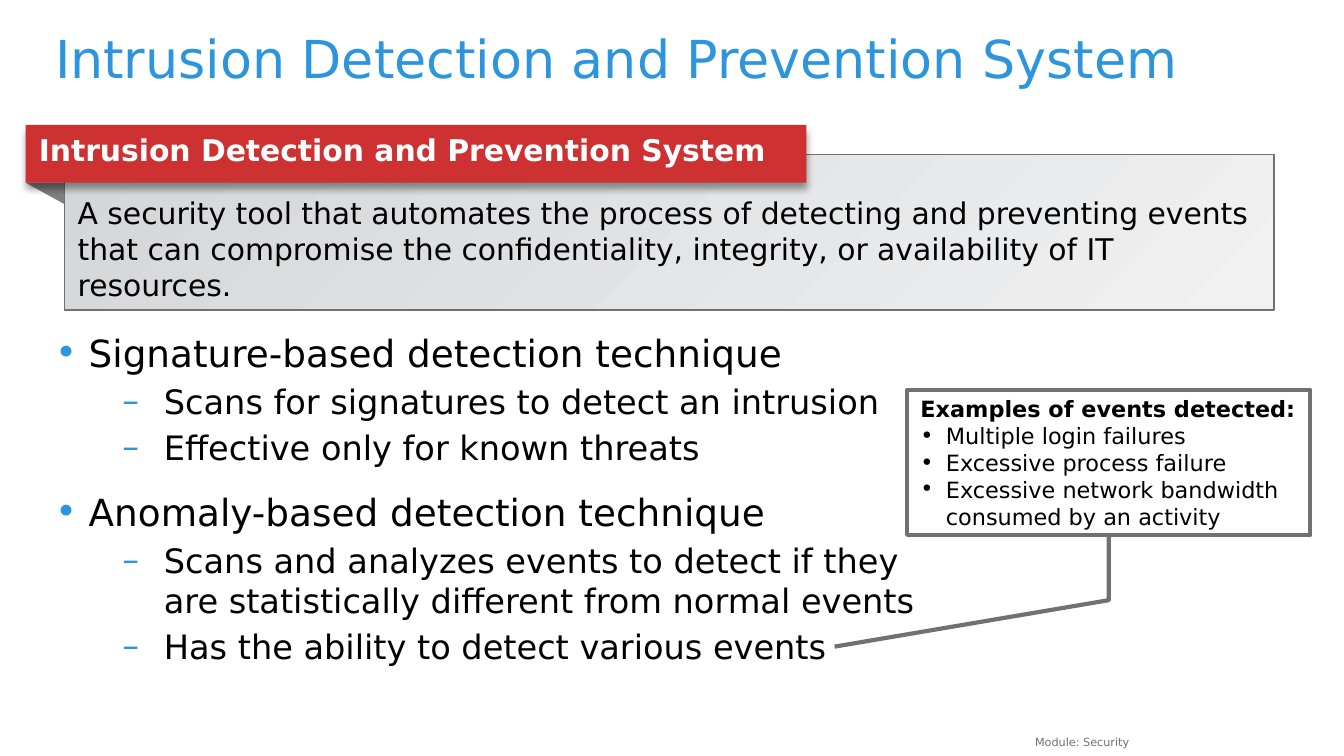
from lxml import etree
from pptx import Presentation
from pptx.dml.color import RGBColor
from pptx.enum.shapes import MSO_SHAPE
from pptx.enum.text import MSO_ANCHOR, MSO_AUTO_SIZE, PP_ALIGN
from pptx.oxml import parse_xml
from pptx.oxml.ns import nsdecls, qn
from pptx.util import Inches, Pt

RECTANGLE, CALLOUT = MSO_SHAPE.RECTANGLE, MSO_SHAPE.LINE_CALLOUT_2
TOP, MIDDLE = MSO_ANCHOR.TOP, MSO_ANCHOR.MIDDLE
LEFT, RIGHT = PP_ALIGN.LEFT, PP_ALIGN.RIGHT
NO_FIT = MSO_AUTO_SIZE.NONE

BLUE = RGBColor(0x2C, 0x95, 0xDD)
RED = RGBColor(0xCE, 0x31, 0x31)
GRAY = RGBColor(0x71, 0x70, 0x74)
FOLD_GRAY = RGBColor(0x80, 0x80, 0x80)
PANEL_DARK = RGBColor(0xD4, 0xD6, 0xD8)
PANEL_LIGHT = RGBColor(0xF1, 0xF1, 0xF2)
BLACK = RGBColor(0, 0, 0)
WHITE = RGBColor(0xFF, 0xFF, 0xFF)
FONT = "DejaVu Sans"

TITLE = "Intrusion Detection and Prevention System"
DEFINITION = (
    "A security tool that automates the process of detecting and preventing events "
    "that can compromise the confidentiality, integrity, or availability of IT resources."
)
TECHNIQUES = [
    ("Signature-based detection technique", [
        "Scans for signatures to detect an intrusion",
        "Effective only for known threats",
    ]),
    ("Anomaly-based detection technique", [
        "Scans and analyzes events to detect if they are statistically different from normal events",
        "Has the ability to detect various events",
    ]),
]
EXAMPLES_HEADING = "Examples of events detected:"
EXAMPLES = [
    "Multiple login failures",
    "Excessive process failure",
    "Excessive network bandwidth consumed by an activity",
]
FOOTER = "Module: Security"

WIDTH = 10
HEIGHT = WIDTH * 9 / 16
MARGIN = 0.41
BANNER = (0.19, 0.93, 5.81, 0.43)
PANEL = (0.48, 1.15, 9, 1.16)
LEADER = (1, 0.5, 1.45, 0.5, 1.77, -0.18)
FOLD_DEPTH = 0.16


def area(values):
    return [Inches(value) for value in values]


def set_frame(box, insets=(0.1, 0.05, 0.1, 0.05), anchor=TOP):
    frame = box.text_frame
    frame.word_wrap = True
    frame.auto_size = NO_FIT
    frame.vertical_anchor = anchor
    frame.margin_left, frame.margin_top, frame.margin_right, frame.margin_bottom = area(insets)
    return frame


def write(frame, text, size, color=BLACK, bold=False, align=LEFT, before=0,
          bullet=None, indent=(0, 0), bullet_color=BLACK, level=0):
    first = frame.paragraphs[0]
    para = frame.add_paragraph() if first.runs else first
    para.add_run().text = text
    para.level = level
    para.alignment = align
    para.space_before = Pt(before)
    if bullet:
        properties = para._p.get_or_add_pPr()
        properties.set("marL", str(Inches(indent[0])))
        properties.set("indent", str(Inches(-indent[1])))
        tint = etree.SubElement(properties, qn("a:buClr"))
        etree.SubElement(tint, qn("a:srgbClr")).set("val", str(bullet_color))
        etree.SubElement(properties, qn("a:buFont")).set("typeface", FONT)
        etree.SubElement(properties, qn("a:buChar")).set("char", bullet)
    font = para.font
    font.name, font.size, font.bold = FONT, Pt(size), bold
    font.color.rgb = color
    return para


def add_box(slide, kind, place, line=None, line_width=1):
    box = slide.shapes.add_shape(kind, *area(place))
    box.shadow.inherit = False
    if line:
        box.line.color.rgb = line
        box.line.width = Pt(line_width)
    else:
        box.line.fill.background()
    return box


def add_title(slide):
    title = slide.shapes.title
    title.left, title.top, title.width, title.height = area((MARGIN, 0.25, 9.25, 0.5))
    para = write(set_frame(title, (0, 0, 0, 0)), TITLE, 28, BLUE)
    para.line_spacing = 0.9


def add_techniques(slide):
    box = slide.shapes.add_textbox(*area((MARGIN, 2.46, 6.59, 2.44)))
    frame = set_frame(box, (0, 0, 0, 0))
    for number, (technique, points) in enumerate(TECHNIQUES):
        write(frame, technique, 20, before=12 if number else 0,
              bullet="•", indent=(0.25, 0.25), bullet_color=BLUE)
        for point in points:
            write(frame, point, 18, before=3, bullet="–",
                  indent=(0.81, 0.31), bullet_color=BLUE, level=1)


def add_definition(slide):
    fold_left, fold_top = BANNER[0], BANNER[1] + BANNER[3]
    corners = [(PANEL[0], fold_top), (PANEL[0], fold_top + FOLD_DEPTH)]
    builder = slide.shapes.build_freeform(Inches(fold_left), Inches(fold_top))
    builder.add_line_segments([area(corner) for corner in corners])
    fold = builder.convert_to_shape()
    fold.shadow.inherit = False
    fold.fill.solid()
    fold.fill.fore_color.rgb = FOLD_GRAY
    fold.line.fill.background()

    panel = add_box(slide, RECTANGLE, PANEL, GRAY)
    panel.fill.gradient()
    panel.fill.gradient_angle = 315
    for stop, color in zip(panel.fill.gradient_stops, (PANEL_DARK, PANEL_LIGHT)):
        stop.color.rgb = color
    write(set_frame(panel, (0.1, 0.3, 0.1, 0.05)), DEFINITION, 16)

    banner = add_box(slide, RECTANGLE, BANNER)
    banner.fill.solid()
    banner.fill.fore_color.rgb = RED
    effects = banner._element.spPr.find(qn("a:effectLst"))
    effects.append(parse_xml(
        f'<a:outerShdw {nsdecls("a")} blurRad="{Pt(4)}" dist="{Pt(3)}" dir="5400000" '
        'rotWithShape="0"><a:srgbClr val="000000"><a:alpha val="40000"/>'
        '</a:srgbClr></a:outerShdw>'))
    write(set_frame(banner), TITLE, 16, WHITE, bold=True)


def add_examples(slide):
    callout = add_box(slide, CALLOUT, (6.75, 2.9, 3, 1.08), GRAY, 2.25)
    callout.fill.background()
    for index, value in enumerate(LEADER):
        callout.adjustments[index] = value
    frame = set_frame(callout, anchor=MIDDLE)
    write(frame, EXAMPLES_HEADING, 12, bold=True)
    for example in EXAMPLES:
        write(frame, example, 12, bullet="•", indent=(0.19, 0.19))


def add_footer(slide):
    box = slide.shapes.add_textbox(*area((2.83, 5.42, 5.67, 0.15)))
    write(set_frame(box), FOOTER, 6, GRAY, align=RIGHT)


def main():
    deck = Presentation()
    deck.slide_width, deck.slide_height = area((WIDTH, HEIGHT))
    slide = deck.slides.add_slide(deck.slide_layouts[5])
    add_title(slide)
    add_techniques(slide)
    add_footer(slide)
    add_definition(slide)
    add_examples(slide)
    deck.save("out.pptx")


if __name__ == "__main__":
    main()
